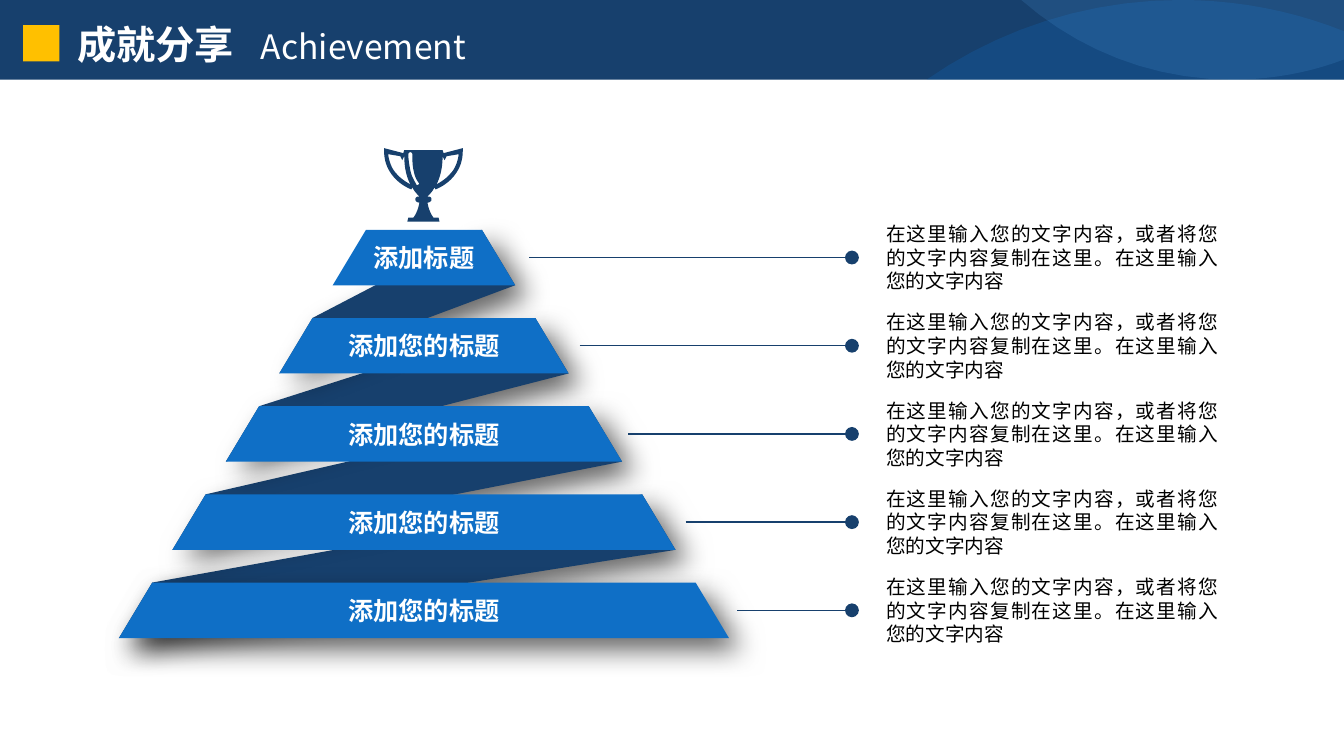
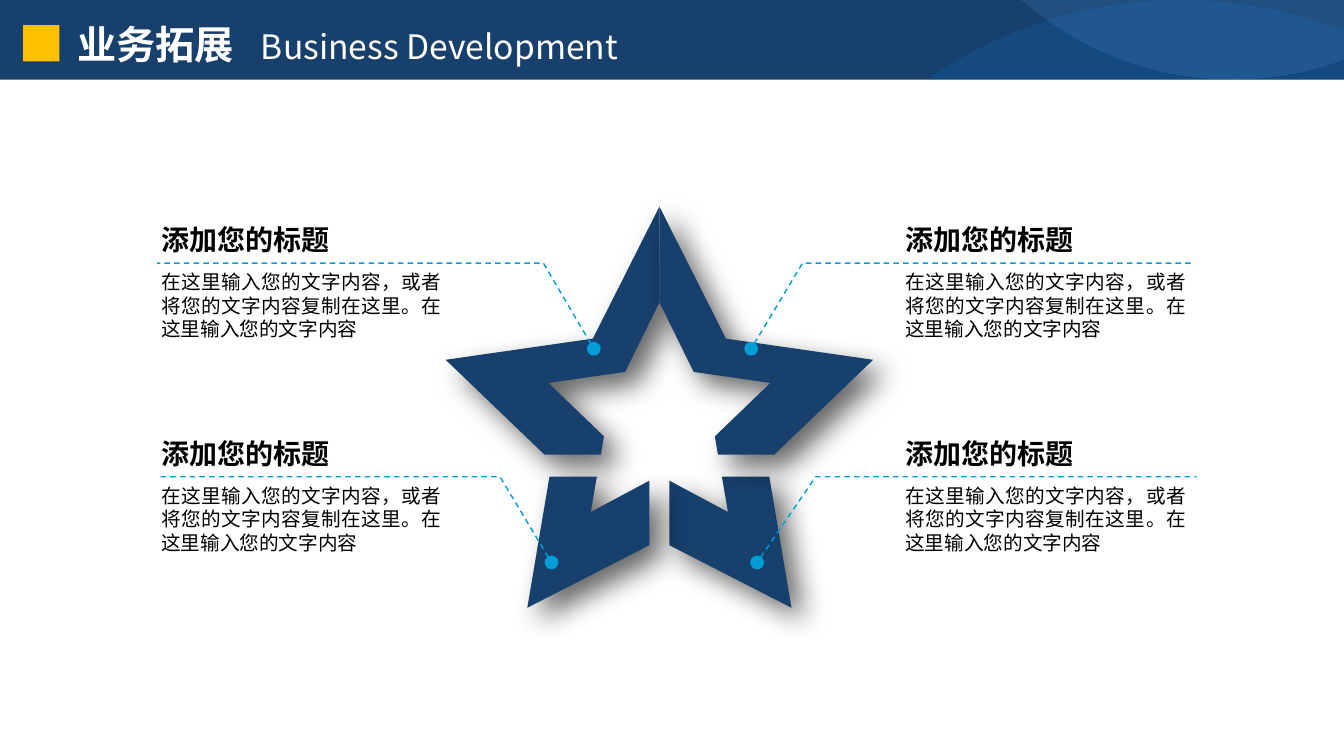
from lxml import etree
from pptx import Presentation
from pptx.dml.color import RGBColor
from pptx.enum.dml import MSO_LINE
from pptx.enum.shapes import MSO_CONNECTOR, MSO_SHAPE
from pptx.enum.text import MSO_ANCHOR, MSO_AUTO_SIZE, PP_ALIGN
from pptx.oxml.ns import qn
from pptx.util import Inches, Pt

RECTANGLE = MSO_SHAPE.RECTANGLE
STRAIGHT = MSO_CONNECTOR.STRAIGHT
DASH = MSO_LINE.DASH
LEFT, CENTER, JUSTIFY = PP_ALIGN.LEFT, PP_ALIGN.CENTER, PP_ALIGN.JUSTIFY
TOP, MIDDLE = MSO_ANCHOR.TOP, MSO_ANCHOR.MIDDLE
GROW = MSO_AUTO_SIZE.SHAPE_TO_FIT_TEXT

FONT = "Noto Sans CJK SC"
NAVY, BLUE, SKY, CYAN = "17406D", "0F6FC6", "59AAF2", "009DD9"
YELLOW, WHITE, BLACK = "FFC000", "FFFFFF", "000000"
LINE_HEIGHT = 1.2

HEADING = "添加您的标题"
BODY = "在这里输入您的文字内容，或者将您的文字内容复制在这里。在这里输入您的文字内容"

# Outlines hold (x, y) for a line and (x1, y1, x2, y2, x, y) for a curve.
LOW_WAVE = [(11.71, 0), (12.28, 0, 12.83, 0.11, 13.33, 0.31), (13.33, 0.79),
            (9.19, 0.79), (9.91, 0.29, 10.78, 0, 11.71, 0)]
HIGH_WAVE = [(13.33, 0), (13.33, 0.59), (12.99, 0.72, 12.61, 0.79, 12.22, 0.79),
             (11.42, 0.79, 10.69, 0.49, 10.13, 0)]

CUP_AXIS = 4.2
CUP_LEFT = [(4.04, 2.2), (4.05, 2.16), (4.1, 2.16),
            (4.13, 2.12, 4.15, 2.07, 4.16, 2.01),
            (4.13, 2.01, 4.12, 1.99, 4.12, 1.98),
            (4.12, 1.96, 4.13, 1.95, 4.16, 1.95),
            (4.14, 1.93, 4.11, 1.9, 4.09, 1.86), (4.08, 1.88),
            (4.01, 1.85, 3.95, 1.81, 3.9, 1.75),
            (3.85, 1.69, 3.81, 1.61, 3.81, 1.5), (3.81, 1.47),
            (4, 1.52), (4.01, 1.49)]
HANDLE_HOLE = [(4.07, 1.83), (4.03, 1.75, 4.01, 1.66, 4.01, 1.55),
               (3.99, 1.59), (3.97, 1.55), (3.85, 1.53),
               (3.86, 1.61, 3.89, 1.68, 3.93, 1.72),
               (3.97, 1.77, 4.02, 1.8, 4.07, 1.83)]
GLINT = [(4.05, 1.53), (4.05, 1.58, 4.06, 1.64, 4.07, 1.69),
         (4.08, 1.74, 4.1, 1.78, 4.13, 1.83),
         (4.13, 1.84, 4.14, 1.84, 4.15, 1.83),
         (4.16, 1.83, 4.16, 1.82, 4.15, 1.81),
         (4.12, 1.77, 4.11, 1.73, 4.1, 1.68),
         (4.09, 1.63, 4.09, 1.58, 4.09, 1.53),
         (4.09, 1.52, 4.08, 1.51, 4.07, 1.51),
         (4.06, 1.51, 4.05, 1.52, 4.05, 1.53)]

STAR_AXIS = 6.54
STAR_ARM = [(5.88, 3.36), (4.42, 3.57), (5.4, 4.51), (5.96, 4.51), (5.99, 4.33),
            (5.44, 3.8), (6.2, 3.69), (6.54, 3), (6.54, 2.05)]
STAR_LEG = [(6.44, 4.77), (5.86, 5.08), (5.92, 4.73), (5.45, 4.73),
            (5.23, 6.03), (6.44, 5.41)]


def rgb(color):
    return RGBColor.from_string(color)


def flatten(outline, steps=10):
    """Turn an outline with cubic curves into plain points."""
    points = []
    for part in outline:
        if len(part) == 2:
            points.append(part)
            continue
        x0, y0 = points[-1]
        x1, y1, x2, y2, x3, y3 = part
        for step in range(1, steps + 1):
            t = step / steps
            a, b, c, d = (1 - t) ** 3, 3 * t * (1 - t) ** 2, 3 * t * t * (1 - t), t ** 3
            points.append((a * x0 + b * x1 + c * x2 + d * x3,
                           a * y0 + b * y1 + c * y2 + d * y3))
    return points


def mirror(points, axis):
    return [(2 * axis - x, y) for x, y in points]


class Deck:
    """The shared style and the slide being filled."""

    def __init__(self):
        self.presentation = Presentation()
        self.presentation.slide_width = Inches(13.33)
        self.presentation.slide_height = Inches(7.5)
        self.shapes = None

    def new_slide(self, title, subtitle):
        blank = self.presentation.slide_layouts[6]
        self.shapes = self.presentation.slides.add_slide(blank).shapes
        self.rectangle(0, 0, 13.33, 0.79, NAVY)
        self.freeform([flatten(LOW_WAVE)], BLUE, opacity=23)
        self.freeform([flatten(HIGH_WAVE)], SKY, opacity=15)
        self.title(title, subtitle)
        self.rectangle(0.23, 0.25, 0.36, 0.36, YELLOW)

    def title(self, title, subtitle):
        frame = self.text_box(0.67, 0.15, 7.27, 0.57)
        paragraph = frame.paragraphs[0]
        stops = etree.SubElement(paragraph._p.get_or_add_pPr(), qn("a:tabLst"))
        etree.SubElement(stops, qn("a:tab"), pos=str(Inches(1.82)), algn="l")
        for words, size, bold in ((title + "\t", 28, True), (subtitle, 24, False)):
            run = paragraph.add_run()
            run.text = words
            run.font.size, run.font.bold = Pt(size), bold
        self.style(paragraph, 28, WHITE)

    def style(self, paragraph, size, color, bold=None, align=LEFT):
        paragraph.alignment = align
        paragraph.line_spacing = Pt(size * LINE_HEIGHT)
        font = paragraph.font
        font.size, font.bold, font.name = Pt(size), bold, FONT
        font.color.rgb = rgb(color)
        defaults = paragraph._p.pPr.find(qn("a:defRPr"))
        etree.SubElement(defaults, qn("a:ea"), typeface=FONT)

    def text_box(self, left, top, width, height):
        box = self.shapes.add_textbox(Inches(left), Inches(top), Inches(width), Inches(height))
        frame = box.text_frame
        frame.word_wrap = True
        frame.auto_size = GROW
        frame.vertical_anchor = TOP
        return frame

    def text(self, left, top, width, height, words, size, bold=False, align=LEFT):
        paragraph = self.text_box(left, top, width, height).paragraphs[0]
        paragraph.text = words
        self.style(paragraph, size, BLACK, bold, align)

    def body(self, left, top, width):
        self.text(left, top, width, 0.81, BODY, 14, align=JUSTIFY)

    def label(self, shape, words):
        """Write a white heading in the middle of a shape."""
        frame = shape.text_frame
        frame.vertical_anchor = MIDDLE
        frame.paragraphs[0].text = words
        self.style(frame.paragraphs[0], 18, WHITE, True, CENTER)

    def paint(self, shape, color):
        shape.shadow.inherit = False
        shape.fill.solid()
        shape.fill.fore_color.rgb = rgb(color)
        shape.line.fill.background()

    def rectangle(self, left, top, width, height, color):
        self.paint(self.shapes.add_shape(RECTANGLE, Inches(left), Inches(top),
                                         Inches(width), Inches(height)), color)

    def outline(self, contours, close):
        builder = None
        for contour in contours:
            start, *rest = [(Inches(x), Inches(y)) for x, y in contour]
            if builder is None:
                builder = self.shapes.build_freeform(*start)
            else:
                builder.move_to(*start)
            builder.add_line_segments(rest, close=close)
        return builder.convert_to_shape()

    def freeform(self, contours, color, opacity=100, shadow=False):
        shape = self.outline(contours, True)
        self.paint(shape, color)
        if opacity < 100:
            tint = shape._element.spPr.find(qn("a:solidFill"))[0]
            etree.SubElement(tint, qn("a:alpha"), val=str(opacity * 1000))
        if shadow:
            self.cast_shadow(shape)
        return shape

    def cast_shadow(self, shape):
        effects = shape._element.spPr.find(qn("a:effectLst"))
        outer = etree.SubElement(effects, qn("a:outerShdw"), blurRad=str(Pt(20)),
                                 dist=str(Pt(12)), dir=str(45 * 60000),
                                 algn="tl", rotWithShape="0")
        black = etree.SubElement(outer, qn("a:srgbClr"), val=BLACK)
        etree.SubElement(black, qn("a:alpha"), val="60000")

    def stroke(self, shape, color, end):
        """Colour a line and put a large dot at its headEnd or tailEnd."""
        shape.line.color.rgb = rgb(color)
        shape.line.width = Pt(1)
        etree.SubElement(shape.line._get_or_add_ln(), qn("a:" + end),
                         type="oval", w="lg", len="lg")

    def leader(self, start, end, y):
        line = self.shapes.add_connector(STRAIGHT, Inches(start), Inches(y),
                                         Inches(end), Inches(y))
        self.stroke(line, NAVY, "tailEnd")
        etree.SubElement(line._element.spPr, qn("a:effectLst"))

    def callout(self, points):
        path = self.outline([points], False)
        path.shadow.inherit = False
        path.fill.background()
        path.line.dash_style = DASH
        self.stroke(path, CYAN, "headEnd")


def achievement(deck):
    deck.new_slide("成就分享", "Achievement")
    pitch, height, slant, widening = 3.5 / 4, 0.55, 0.33, 0.53
    leader_starts = [5.25, 5.75, 6.23, 6.8, 7.31]
    levels = [(3.3 - widening * i, 5.11 + widening * i, 2.28 + pitch * i)
              for i in range(len(leader_starts))]

    folds = list(zip(levels, levels[1:]))
    for (_, right, top), (left, _, next_top) in reversed(folds):
        deck.freeform([[(right - slant, top), (left + slant, next_top),
                        (left, next_top + height), (right, top + height)]],
                      NAVY, shadow=True)

    for i, (left, right, top) in enumerate(levels):
        band = deck.freeform([[(left + slant, top), (right - slant, top),
                               (right, top + height), (left, top + height)]],
                             BLUE, shadow=i == len(levels) - 1)
        deck.label(band, HEADING if i else "添加标题")
        middle = top + height / 2
        deck.leader(leader_starts[i], 8.45, middle)
        deck.body(8.69, middle - 0.4, 3.49)

    half, hole = flatten(CUP_LEFT), flatten(HANDLE_HOLE)
    cup = half + mirror(half, CUP_AXIS)[::-1]
    deck.freeform([cup, hole, mirror(hole, CUP_AXIS), flatten(GLINT)], NAVY)


def business_development(deck):
    deck.new_slide("业务拓展", "Business Development")
    for part in (STAR_ARM, mirror(STAR_LEG, STAR_AXIS),
                 STAR_LEG, mirror(STAR_ARM, STAR_AXIS)):
        deck.freeform([part], NAVY, shadow=True)

    # Text left, text top, then the x of dot, elbow and line end
    notes = [(1.5, 2.16, 5.89, 5.39, 1.56), (8.88, 2.16, 7.45, 7.96, 11.84),
             (1.5, 4.28, 5.47, 4.96, 1.56), (8.88, 4.28, 7.51, 8.09, 11.87)]
    for left, top, dot, elbow, end in notes:
        rule = top + 0.45
        deck.callout([(dot, top + 1.3), (elbow, rule), (end, rule)])
        deck.body(left, top + 0.47, 2.98)
        deck.text(left, top, 2.98, 0.44, HEADING, 20, bold=True)


def main():
    deck = Deck()
    achievement(deck)
    business_development(deck)
    deck.presentation.save("out.pptx")


if __name__ == "__main__":
    main()
